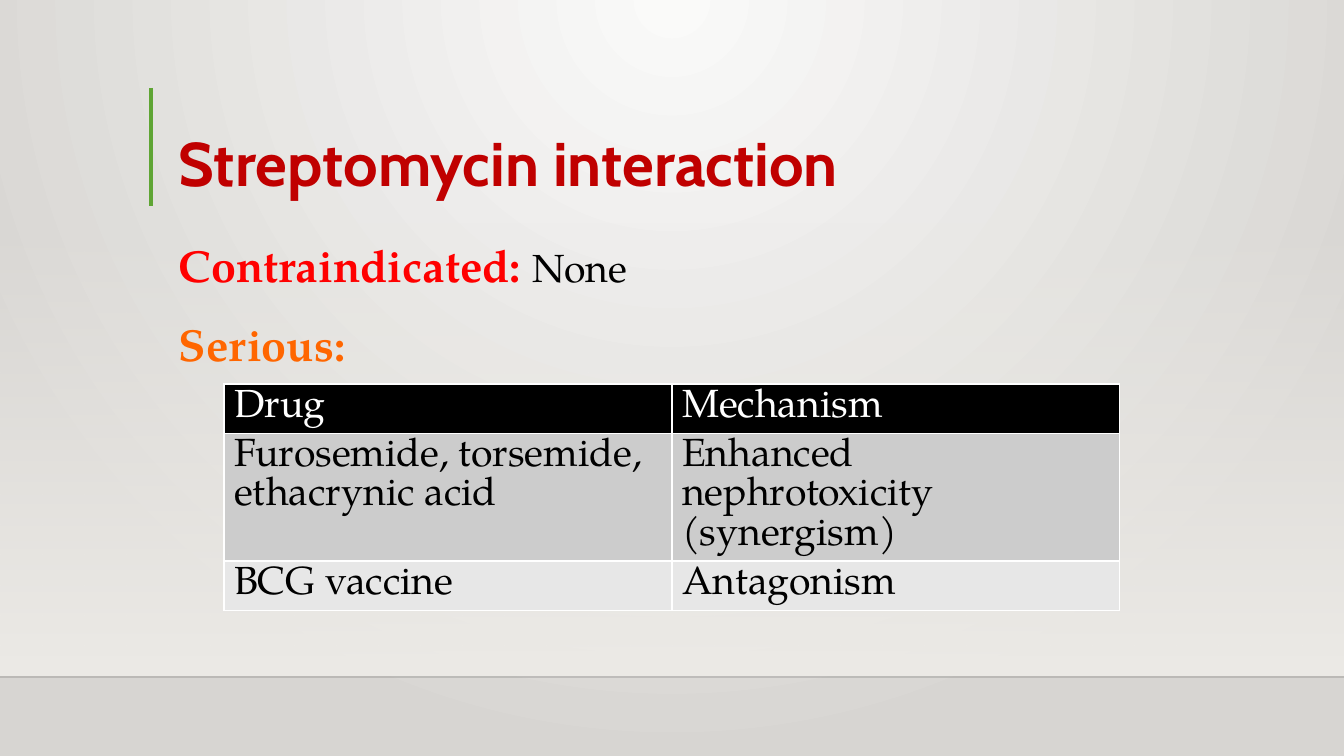
from lxml.etree import SubElement
from pptx import Presentation
from pptx.dml.color import RGBColor
from pptx.enum.shapes import MSO_CONNECTOR, MSO_SHAPE
from pptx.enum.text import MSO_ANCHOR
from pptx.oxml.ns import qn
from pptx.util import Emu, Pt

COLORS = {
    "glow": "FAFAF9", "edge": "D7D5D2", "wall": "EDEBE7", "floor": "000001",
    "accent": "5FA534", "title": "C00000", "contraindicated": "FF0000",
    "serious": "FF6600", "text": "000000", "white": "FFFFFF",
    "header": "000000", "odd_row": "CCCCCC", "even_row": "E7E7E7",
}
TITLE_FONT = "Cabin"
BODY_FONT = "TeX Gyre Pagella"
WIDTH, HEIGHT = 1344, 756
INTERACTIONS = [
    ("Drug", "Mechanism"),
    ("Furosemide, torsemide, ethacrynic acid", "Enhanced nephrotoxicity (synergism)"),
    ("BCG vaccine", "Antagonism"),
]
ROW_STYLES = [("header", "white"), ("odd_row", "text"), ("even_row", "text")]


def px(length):
    return Emu(round(length * 12192000 / WIDTH))


def rgb(name):
    return RGBColor.from_string(COLORS[name])


def add_color(parent, name, opacity=100):
    color = SubElement(parent, qn("a:srgbClr"), val=COLORS[name])
    if opacity < 100:
        SubElement(color, qn("a:alpha"), val=str(opacity * 1000))


def set_gradient(fill, properties, stops):
    fill.gradient()
    gradient = properties.find(qn("a:gradFill"))
    for child in list(gradient):
        gradient.remove(child)
    stop_list = SubElement(gradient, qn("a:gsLst"))
    for position, name, opacity in stops:
        stop = SubElement(stop_list, qn("a:gs"), pos=str(position * 1000))
        add_color(stop, name, opacity)
    return gradient


def paint_background(slide):
    fill = slide.background.fill
    gradient = set_gradient(fill, slide.element.cSld.bg.bgPr,
                            [(0, "glow", 100), (100, "edge", 100)])
    circle = SubElement(gradient, qn("a:path"), path="circle")
    SubElement(circle, qn("a:fillToRect"), l="43000", t="0", r="43000", b="100000")


def add_wall(slide):
    wall = slide.shapes.add_shape(MSO_SHAPE.RECTANGLE, 0, px(222), px(WIDTH), px(454))
    wall.shadow.inherit = False
    wall.line.fill.background()
    gradient = set_gradient(wall.fill, wall.element.spPr,
                            [(0, "wall", 0), (100, "wall", 100)])
    SubElement(gradient, qn("a:lin"), ang="5400000", scaled="0")


def add_line(slide, start, end, color, width, opacity=100):
    line = slide.shapes.add_connector(MSO_CONNECTOR.STRAIGHT, *map(px, start + end))
    line.line.width = Pt(width)
    line.line.fill.solid()
    solid = line.line._ln.find(qn("a:solidFill"))
    add_color(solid, color, opacity)
    SubElement(line.element.spPr, qn("a:effectLst"))


def add_run(paragraph, text, font, size, color, bold=False):
    run = paragraph.add_run()
    run.text = text
    run.font.name = font
    run.font.size = Pt(size)
    run.font.bold = bold
    run.font.color.rgb = rgb(color)


def add_text(slide, box, paragraphs, spacing, anchor=MSO_ANCHOR.TOP):
    frame = slide.shapes.add_textbox(*map(px, box)).text_frame
    frame.word_wrap = True
    frame.vertical_anchor = anchor
    for index, runs in enumerate(paragraphs):
        paragraph = frame.add_paragraph() if index else frame.paragraphs[0]
        paragraph.line_spacing = spacing
        if index:
            paragraph.space_before = Pt(10)
        for run in runs:
            add_run(paragraph, *run)


def style_cell(cell, text, fill, color):
    properties = cell._tc.get_or_add_tcPr()
    for side in ("lnL", "lnR", "lnT", "lnB"):
        border = SubElement(properties, qn(f"a:{side}"), w=str(Pt(1)))
        add_color(SubElement(border, qn("a:solidFill")), "white")
    cell.fill.solid()
    cell.fill.fore_color.rgb = rgb(fill)
    paragraph = cell.text_frame.paragraphs[0]
    paragraph.line_spacing = Pt(28)
    add_run(paragraph, text, BODY_FONT, 28, color)


def add_interactions(slide):
    table = slide.shapes.add_table(3, 2, px(224), px(384), px(896), px(123)).table
    for row, texts, style in zip(table.rows, INTERACTIONS, ROW_STYLES):
        row.height = px(41)
        for cell, text in zip(row.cells, texts):
            style_cell(cell, text, *style)


def main():
    presentation = Presentation()
    presentation.slide_width, presentation.slide_height = px(WIDTH), px(HEIGHT)
    slide = presentation.slides.add_slide(presentation.slide_layouts[6])
    paint_background(slide)
    add_wall(slide)
    add_line(slide, (0, 677), (WIDTH, 677), "floor", 1, 20)
    add_line(slide, (151, 88), (151, 206), "accent", 3)
    add_text(slide, (169, 89, 1049, 116),
             [[("Streptomycin interaction", TITLE_FONT, 44, "title", True)]],
             0.9, MSO_ANCHOR.BOTTOM)
    add_text(slide, (169, 222, 1049, 380), [
        [("Contraindicated: ", BODY_FONT, 32, "contraindicated", True),
         ("None", BODY_FONT, 28, "text")],
        [("Serious:", BODY_FONT, 32, "serious", True)],
    ], 1.2)
    add_interactions(slide)
    presentation.save("out.pptx")


if __name__ == "__main__":
    main()
